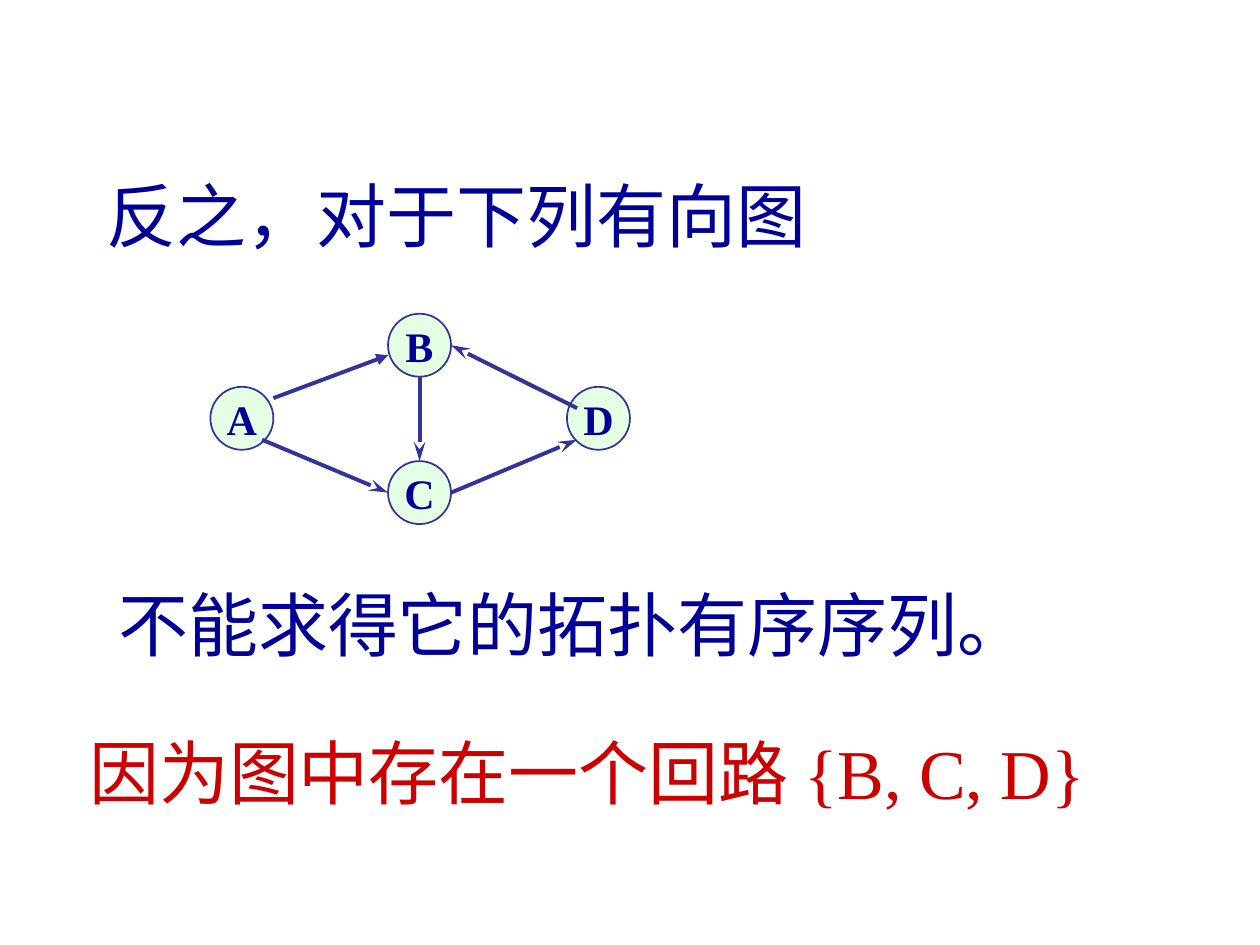
from lxml.etree import SubElement
from pptx import Presentation
from pptx.dml.color import RGBColor
from pptx.enum.shapes import MSO_CONNECTOR, MSO_SHAPE
from pptx.enum.text import MSO_ANCHOR, MSO_AUTO_SIZE, PP_ALIGN
from pptx.oxml.ns import qn
from pptx.util import Inches, Pt

FONT = "Times New Roman"
COLORS = {"text": "000099", "accent": "CC0000", "line": "333399", "node": "CCFFCC"}
NODE_SIZE = 0.5

NODES = {"B": (3.08, 2.49), "D": (4.5, 3.07), "A": (1.67, 3.07), "C": (3.08, 3.66)}
# start, end, arrowhead, arrowhead length
EDGES = [
    ((2.17, 3.16), (3.08, 2.82), "triangle", "med"),
    ((2.08, 3.49), (3.08, 3.91), "stealth", "lg"),
    ((3.58, 3.91), (4.58, 3.49), "stealth", "lg"),
    ((4.58, 3.24), (3.58, 2.74), "stealth", "lg"),
    ((3.33, 2.99), (3.33, 3.66), "stealth", "lg"),
]
# text, left, top, width, color
STATEMENTS = [
    ("反之，对于下列有向图", 0.75, 1.32, 5.75, "text"),
    ("不能求得它的拓扑有序序列。", 0.84, 4.57, 7.41, "text"),
    ("因为图中存在一个回路 {B, C, D}", 0.61, 5.74, 8.23, "accent"),
]


def rgb(name):
    return RGBColor.from_string(COLORS[name])


def write(shape, text, size, color, bold=False):
    """Put one unwrapped line of text in a shape and return its paragraph."""
    frame = shape.text_frame
    frame.text = text
    frame.word_wrap = False
    para = frame.paragraphs[0]
    font = para.runs[0].font
    font.name, font.size, font.bold = FONT, Pt(size), bold
    font.color.rgb = rgb(color)
    return para


def add_node(page, label, left, top):
    node = page.shapes.add_shape(MSO_SHAPE.OVAL, Inches(left), Inches(top),
                                 Inches(NODE_SIZE), Inches(NODE_SIZE))
    node.shadow.inherit = False
    node.fill.solid()
    node.fill.fore_color.rgb = rgb("node")
    fill_color = node.fill._xPr.find(qn("a:solidFill"))[0]
    SubElement(fill_color, qn("a:alpha"), val="50000")
    node.line.color.rgb = rgb("line")
    node.line.width = Pt(1)
    para = write(node, label, 24, "text", bold=True)
    para.alignment = PP_ALIGN.CENTER
    node.text_frame.vertical_anchor = MSO_ANCHOR.MIDDLE


def add_edge(page, start, end, head, length):
    edge = page.shapes.add_connector(MSO_CONNECTOR.STRAIGHT,
                                     *map(Inches, start + end))
    edge.line.color.rgb = rgb("line")
    edge.line.width = Pt(2.25)
    SubElement(edge.line._get_or_add_ln(), qn("a:tailEnd"),
               type=head, w="med", len=length)
    SubElement(edge._element.spPr, qn("a:effectLst"))


def add_statement(page, text, left, top, width, color):
    box = page.shapes.add_textbox(Inches(left), Inches(top),
                                  Inches(width), Inches(0.77))
    write(box, text, 40, color)
    box.text_frame.auto_size = MSO_AUTO_SIZE.SHAPE_TO_FIT_TEXT


def main():
    deck = Presentation()
    deck.slide_width, deck.slide_height = Inches(10), Inches(7.5)
    page = deck.slides.add_slide(deck.slide_layouts[6])
    for label, (left, top) in NODES.items():
        add_node(page, label, left, top)
    for edge in EDGES:
        add_edge(page, *edge)
    for statement in STATEMENTS:
        add_statement(page, *statement)
    deck.save("out.pptx")


if __name__ == "__main__":
    main()
